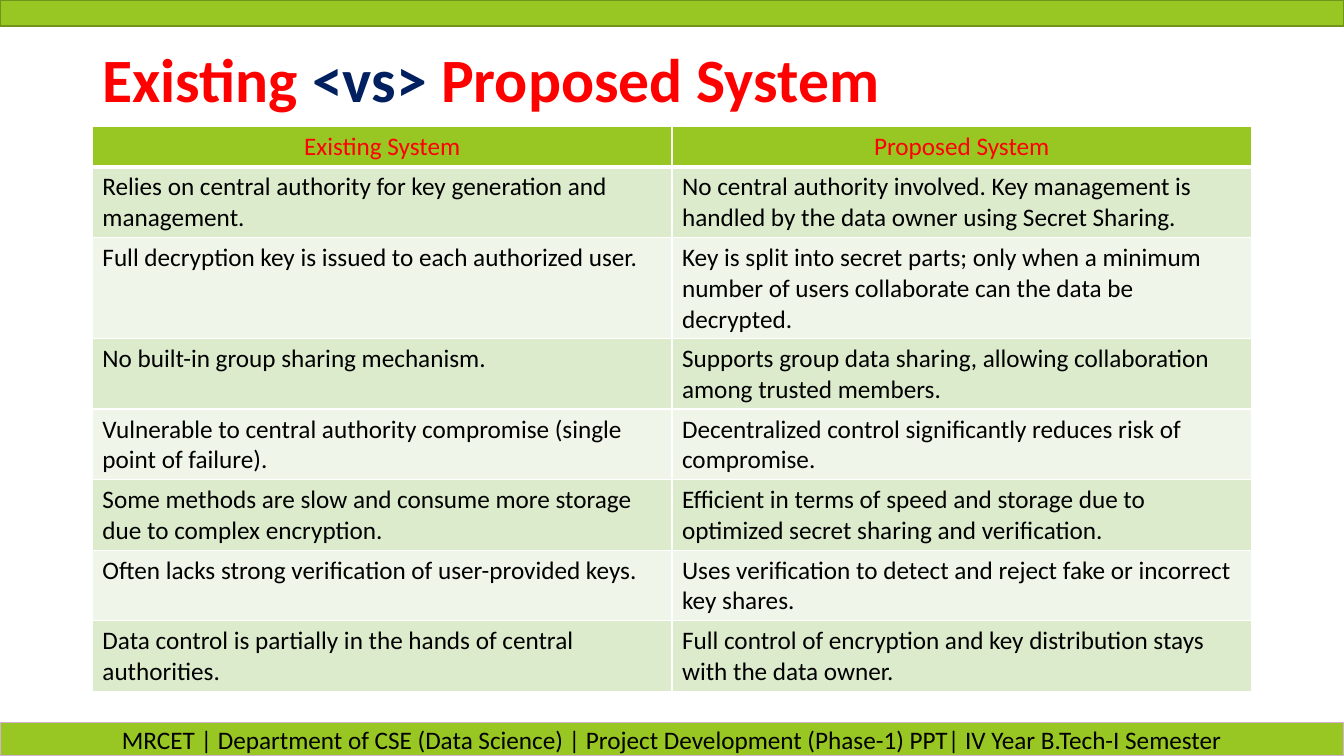
from dataclasses import dataclass

from lxml.etree import SubElement
from pptx import Presentation
from pptx.dml.color import RGBColor
from pptx.enum.shapes import MSO_SHAPE as Preset
from pptx.enum.text import MSO_ANCHOR as Anchor, PP_ALIGN as Align
from pptx.oxml.ns import qn
from pptx.util import Emu, Pt

PX = 9525  # EMU in one px, at 96 px to the inch
SLIDE_WIDTH, SLIDE_HEIGHT = 1280, 720
LEFT, CONTENT_WIDTH = 88, 1104
FONT = "Calibri"
GREEN, RED, NAVY, BLACK, WHITE = "98C723", "FF0000", "002060", "000000", "FFFFFF"
BAND_FILLS = ("DDEBCD", "EFF5E8")


@dataclass(frozen=True)
class Bar:
    top: int
    height: int
    line: str
    text: str = ""


@dataclass(frozen=True)
class Comparison:
    existing: str
    proposed: str
    height: int = 67


BARS = (
    Bar(0, 25, "70931A"),
    Bar(688, 32, "D4B0D2",
        "MRCET | Department of CSE (Data Science) | Project Development (Phase-1) PPT"
        "| IV Year B.Tech-I Semester"),
)

TITLE_RUNS = (("Existing ", RED), ("<vs> ", NAVY), ("Proposed System", RED))

COMPARISONS = (
    Comparison("Existing System", "Proposed System", 39),
    Comparison("Relies on central authority for key generation and management.",
               "No central authority involved. Key management is handled by the data owner "
               "using Secret Sharing."),
    Comparison("Full decryption key is issued to each authorized user.",
               "Key is split into secret parts; only when a minimum number of users "
               "collaborate can the data be decrypted.", 96),
    Comparison("No built-in group sharing mechanism.",
               "Supports group data sharing, allowing collaboration among trusted members."),
    Comparison("Vulnerable to central authority compromise (single point of failure).",
               "Decentralized control significantly reduces risk of compromise."),
    Comparison("Some methods are slow and consume more storage due to complex encryption.",
               "Efficient in terms of speed and storage due to optimized secret sharing "
               "and verification."),
    Comparison("Often lacks strong verification of user-provided keys.",
               "Uses verification to detect and reject fake or incorrect key shares."),
    Comparison("Data control is partially in the hands of central authorities.",
               "Full control of encryption and key distribution stays with the data owner."),
)


def px(*lengths: int) -> list[Emu]:
    return [Emu(length * PX) for length in lengths]


def color(value: str) -> RGBColor:
    return RGBColor.from_string(value)


def add_text(paragraph, text: str, *, size: int = 18, fill: str = BLACK,
             bold: bool = False, align: Align = Align.LEFT) -> None:
    paragraph.alignment = align
    run = paragraph.add_run()
    run.text = text
    run.font.name = FONT
    run.font.size = Pt(size)
    run.font.bold = bold
    run.font.color.rgb = color(fill)


def draw_bar(slide, bar: Bar) -> None:
    shape = slide.shapes.add_shape(
        Preset.RECTANGLE, *px(0, bar.top, SLIDE_WIDTH, bar.height))
    shape.shadow.inherit = False
    shape.fill.solid()
    shape.fill.fore_color.rgb = color(GREEN)
    shape.line.color.rgb = color(bar.line)
    shape.line.width = Pt(1)
    if bar.text:
        shape.text_frame.vertical_anchor = Anchor.MIDDLE
        add_text(shape.text_frame.paragraphs[0], bar.text, align=Align.CENTER)


def draw_title(slide) -> None:
    frame = slide.shapes.add_textbox(*px(LEFT, 38, CONTENT_WIDTH, 82)).text_frame
    frame.word_wrap = True
    frame.vertical_anchor = Anchor.MIDDLE
    paragraph = frame.paragraphs[0]
    paragraph.line_spacing = 0.9
    for text, fill in TITLE_RUNS:
        add_text(paragraph, text, size=44, fill=fill, bold=True)


def set_borders(cell, top: int, bottom: int) -> None:
    properties = cell._tc.get_or_add_tcPr()
    widths = {"a:lnL": 1, "a:lnR": 1, "a:lnT": top, "a:lnB": bottom}
    for tag, width in widths.items():
        line = SubElement(properties, qn(tag), w=str(Pt(width)))
        fill = SubElement(line, qn("a:solidFill"))
        SubElement(fill, qn("a:srgbClr"), val=WHITE)


def draw_table(slide) -> None:
    total_height = sum(comparison.height for comparison in COMPARISONS)
    table = slide.shapes.add_table(
        len(COMPARISONS), 2, *px(LEFT, 120, CONTENT_WIDTH, total_height)).table
    for row, comparison in enumerate(COMPARISONS):
        table.rows[row].height = Emu(comparison.height * PX)
        header = row == 0
        for column, text in enumerate((comparison.existing, comparison.proposed)):
            cell = table.cell(row, column)
            # Borders precede the fill in the cell properties
            set_borders(cell, top=3 if row == 1 else 1, bottom=3 if header else 1)
            cell.fill.solid()
            cell.fill.fore_color.rgb = color(GREEN if header else BAND_FILLS[(row - 1) % 2])
            add_text(cell.text_frame.paragraphs[0], text,
                     fill=RED if header else BLACK,
                     align=Align.CENTER if header else Align.LEFT)


def main() -> None:
    presentation = Presentation()
    presentation.slide_width, presentation.slide_height = px(SLIDE_WIDTH, SLIDE_HEIGHT)
    slide = presentation.slides.add_slide(presentation.slide_layouts[6])

    # Top and footer bars
    for bar in BARS:
        draw_bar(slide, bar)

    # Heading and comparison
    draw_title(slide)
    draw_table(slide)
    presentation.save("out.pptx")


if __name__ == "__main__":
    main()
